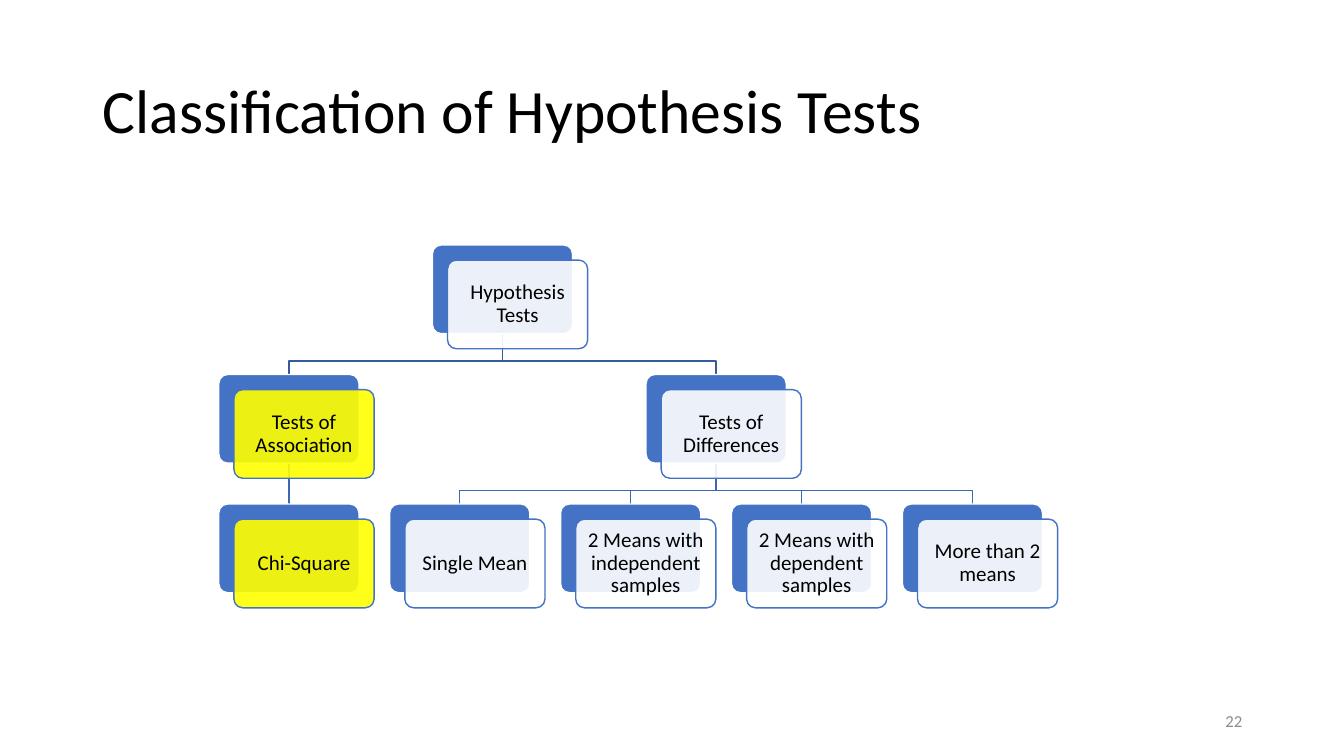
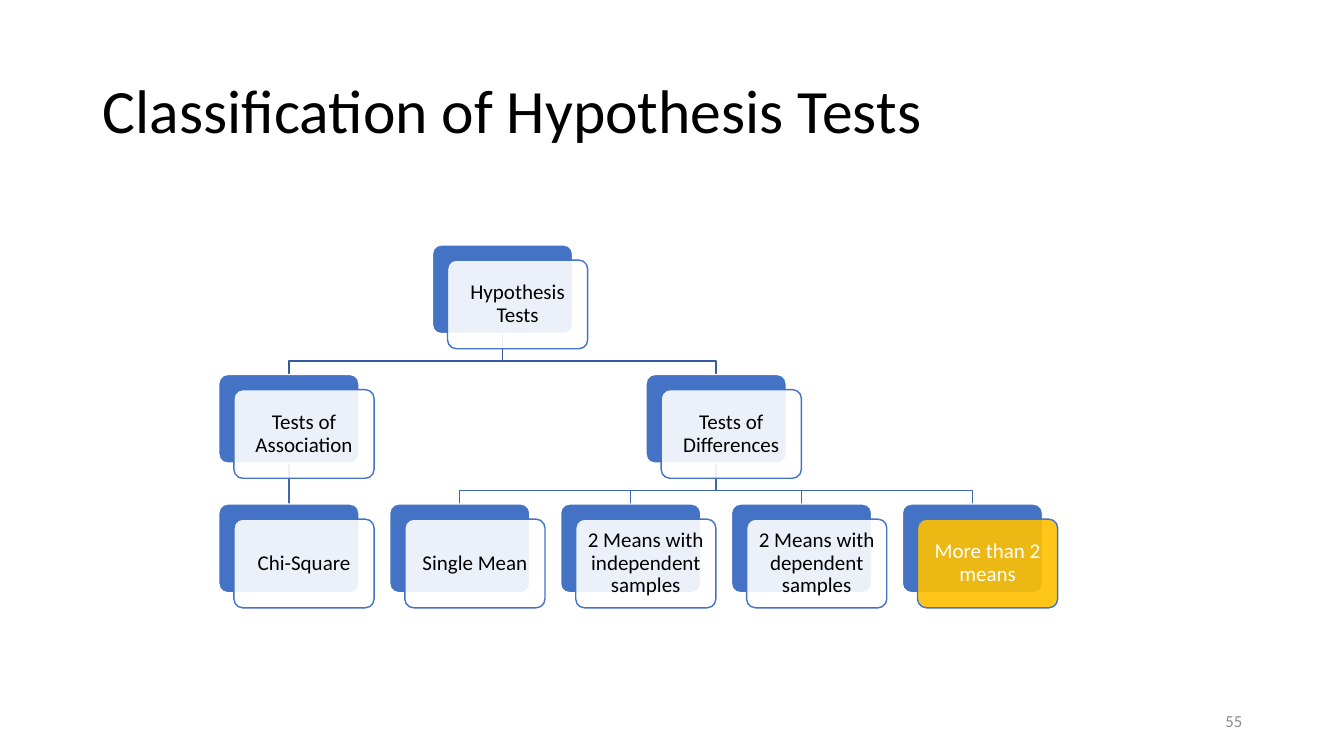
from lxml import etree
from pptx import Presentation
from pptx.dml.color import RGBColor
from pptx.enum.shapes import MSO_CONNECTOR, MSO_SHAPE
from pptx.enum.text import MSO_ANCHOR, PP_ALIGN
from pptx.oxml.ns import qn
from pptx.util import Inches, Pt

STRAIGHT = MSO_CONNECTOR.STRAIGHT
ROUND_RECT = MSO_SHAPE.ROUNDED_RECTANGLE
MIDDLE = MSO_ANCHOR.MIDDLE
LEFT, CENTER, RIGHT = PP_ALIGN.LEFT, PP_ALIGN.CENTER, PP_ALIGN.RIGHT

FONT = "Calibri"
BLACK, WHITE, GREY = "000000", "FFFFFF", "8C8C8C"
BLUE, YELLOW, GOLD = "4472C4", "FFFF00", "FFC000"
LINK_COLORS = {1: "365B9D", 2: "3E67B2"}

TITLE = "Classification of Hypothesis Tests"
TREE_LEFT, TREE_TOP = 2.17, 2.43
COL_STEP, ROW_STEP = 1.695, 1.285
CARD_W, CARD_H, CARD_OFFSET = 1.39, 0.88, 0.15
LINK_BEND = 0.27

ROOT = "Hypothesis Tests"
ASSOCIATION = "Tests of Association"
DIFFERENCES = "Tests of Differences"
CHI_SQUARE = "Chi-Square"
MORE_MEANS = "More than 2 means"

# label: (column, row, parent)
NODES = {
    ROOT: (1.25, 0, None),
    ASSOCIATION: (0, 1, ROOT),
    CHI_SQUARE: (0, 2, ASSOCIATION),
    DIFFERENCES: (2.5, 1, ROOT),
    "Single Mean": (1, 2, DIFFERENCES),
    "2 Means with independent samples": (2, 2, DIFFERENCES),
    "2 Means with dependent samples": (3, 2, DIFFERENCES),
    MORE_MEANS: (4, 2, DIFFERENCES),
}

# page number, {label: (card fill, text colour)}
SLIDES = [
    ("22", {ASSOCIATION: (YELLOW, BLACK), CHI_SQUARE: (YELLOW, BLACK)}),
    ("55", {MORE_MEANS: (GOLD, WHITE)}),
]


def rgb(color):
    return RGBColor.from_string(color)


def place(sp, left, top, width, height):
    sp.left, sp.top = Inches(left), Inches(top)
    sp.width, sp.height = Inches(width), Inches(height)


def set_text(sp, text, size, color, align, spacing=None):
    tf = sp.text_frame
    tf.word_wrap = True
    tf.vertical_anchor = MIDDLE
    tf.text = text
    p = tf.paragraphs[0]
    p.alignment = align
    p.line_spacing = spacing
    font = p.runs[0].font
    font.name, font.size = FONT, Pt(size)
    font.color.rgb = rgb(color)


def set_line(sp, color):
    sp.line.color.rgb = rgb(color)
    sp.line.width = Pt(1)


def set_alpha(sp, percent):
    color = sp.fill._xPr.find(qn("a:solidFill"))[0]
    etree.SubElement(color, qn("a:alpha")).set("val", str(percent * 1000))


def node_corner(label):
    col, row, _ = NODES[label]
    return TREE_LEFT + col * COL_STEP, TREE_TOP + row * ROW_STEP


def add_card(slide, left, top, fill, line):
    sp = slide.shapes.add_shape(ROUND_RECT, Inches(left), Inches(top),
                                Inches(CARD_W), Inches(CARD_H))
    sp.adjustments[0] = 0.1
    sp.shadow.inherit = False
    sp.fill.solid()
    sp.fill.fore_color.rgb = rgb(fill)
    set_line(sp, line)
    return sp


def add_node(slide, label, fill, text_color):
    """Add a solid back card and a translucent, labelled front card."""
    left, top = node_corner(label)
    add_card(slide, left, top, BLUE, WHITE)
    sp = add_card(slide, left + CARD_OFFSET, top + CARD_OFFSET, fill, BLUE)
    set_alpha(sp, 90)
    tf = sp.text_frame
    tf.margin_left = tf.margin_right = Inches(0.06)
    tf.margin_top = tf.margin_bottom = Inches(0.06)
    set_text(sp, label, 15, text_color, CENTER, 0.9)


def add_link(slide, parent, child):
    """Join parent to child, with a bend unless they share a column."""
    (parent_left, parent_top), (child_left, child_top) = map(
        node_corner, (parent, child))
    x1, x2 = (Inches(x + CARD_W / 2) for x in (parent_left, child_left))
    y1, y2 = Inches(parent_top + CARD_H), Inches(child_top)
    if x1 == x2:
        sp = slide.shapes.add_connector(STRAIGHT, x1, y1, x2, y2)
        etree.SubElement(sp._element.spPr, qn("a:effectLst"))
    else:
        bend = y1 + Inches(LINK_BEND)
        builder = slide.shapes.build_freeform(x1, y1)
        builder.add_line_segments([(x1, bend), (x2, bend), (x2, y2)],
                                  close=False)
        sp = builder.convert_to_shape()
        sp.fill.background()
        sp.shadow.inherit = False
    set_line(sp, LINK_COLORS[NODES[child][1]])


def add_tree(slide, highlights):
    for label, (_, _, parent) in NODES.items():
        if parent:
            add_link(slide, parent, label)
    for label in NODES:
        add_node(slide, label, *highlights.get(label, (WHITE, BLACK)))


def add_slide(prs, number, highlights):
    slide = prs.slides.add_slide(prs.slide_layouts[5])
    title = slide.shapes.title
    place(title, 0.92, 0.4, 11.5, 1.45)
    set_text(title, TITLE, 44, BLACK, LEFT, 0.9)
    add_tree(slide, highlights)
    page = slide.shapes.add_textbox(Inches(9.42), Inches(6.95),
                                    Inches(3), Inches(0.4))
    set_text(page, number, 12, GREY, RIGHT)


def main():
    prs = Presentation()
    prs.slide_width, prs.slide_height = Inches(13.33), Inches(7.5)
    for number, highlights in SLIDES:
        add_slide(prs, number, highlights)
    prs.save("out.pptx")


if __name__ == "__main__":
    main()
